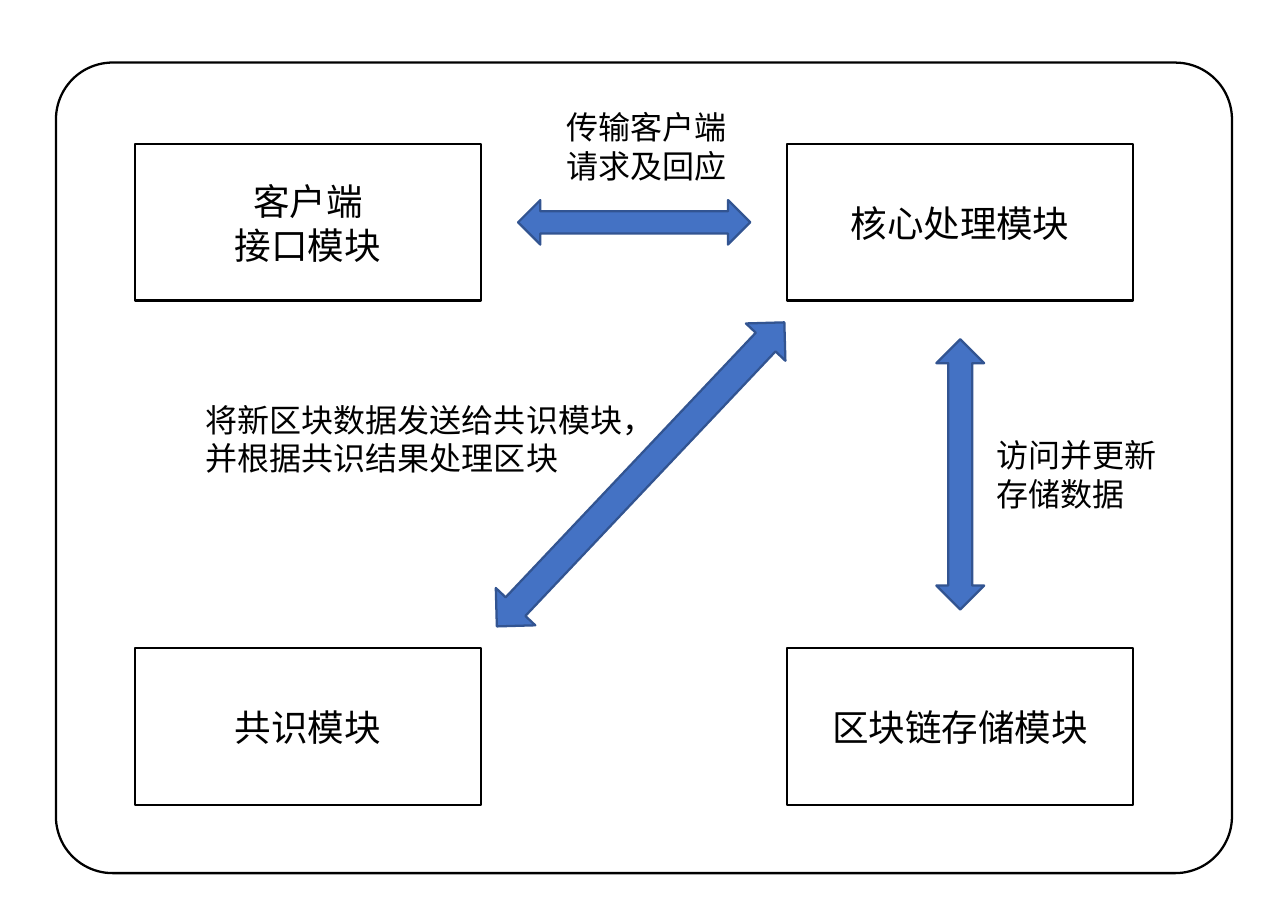
from dataclasses import dataclass

from pptx import Presentation
from pptx import util as u
from pptx.dml.color import RGBColor
from pptx.enum import shapes, text
from pptx.shapes.autoshape import Shape
from pptx.slide import Slide


@dataclass(frozen=True)
class Theme:
    font: str = "Calibri"
    module_size: int = 16
    label_size: int = 14
    line_width: int = 1
    ink: str = "000000"
    paper: str = "FFFFFF"
    arrow_fill: str = "4472C4"
    arrow_line: str = "325491"


@dataclass(frozen=True)
class Grid:
    """Centres of the cells: column 0, row 0 is the top left module."""
    left: float = 1.87
    top: float = 1.35
    column_step: float = 3.96
    row_step: float = 3.06

    def corner(self, column: float, row: float, width: float, height: float) -> tuple[u.Inches, u.Inches]:
        return (u.Inches(self.left + column * self.column_step - width / 2),
                u.Inches(self.top + row * self.row_step - height / 2))


@dataclass(frozen=True)
class Module:
    column: int
    row: int
    lines: tuple[str, ...]


@dataclass(frozen=True)
class Arrow:
    column: float
    row: float
    thickness: float
    length: float
    rotation: float = 0


@dataclass(frozen=True)
class Label:
    column: float
    row: float
    width: float
    lines: tuple[str, ...]


THEME = Theme()
GRID = Grid()
SLIDE_WIDTH, SLIDE_HEIGHT = 7.82, 5.53
MODULE_WIDTH, MODULE_HEIGHT = 2.1, 0.95
LABEL_HEIGHT = 0.57

MODULES = (
    Module(0, 0, ("客户端", "接口模块")),
    Module(1, 0, ("核心处理模块",)),
    Module(0, 1, ("共识模块",)),
    Module(1, 1, ("区块链存储模块",)),
)
ARROWS = (
    Arrow(1, 0.5, 0.29, 1.64),
    Arrow(0.5, 0, 0.27, 1.41, 90),
    Arrow(0.51, 0.5, 0.33, 2.54, 43.4),
)
LABELS = (
    Label(0.52, -0.15, 1.18, ("传输客户端", "请求及回应")),
    Label(0.19, 0.43, 2.95, ("将新区块数据发送给共识模块，", "并根据共识结果处理区块")),
    Label(1.18, 0.5, 1.18, ("访问并更新", "存储数据")),
)


def paint(shape: Shape, fill: str, line: str) -> None:
    shape.shadow.inherit = False
    shape.fill.solid()
    shape.fill.fore_color.rgb = RGBColor.from_string(fill)
    shape.line.color.rgb = RGBColor.from_string(line)
    shape.line.width = u.Pt(THEME.line_width)


def write(shape: Shape, lines: tuple[str, ...], size: int, align: text.PP_ALIGN) -> None:
    frame = shape.text_frame
    for index, line in enumerate(lines):
        para = frame.add_paragraph() if index else frame.paragraphs[0]
        para.alignment = align
        span = para.add_run()
        span.text = line
        span.font.name = THEME.font
        span.font.size = u.Pt(size)
        span.font.color.rgb = RGBColor.from_string(THEME.ink)


def draw_frame(page: Slide) -> None:
    left, top, width, height = 0.34, 0.38, 7.14, 4.92
    box = page.shapes.add_shape(
        shapes.MSO_SHAPE.ROUNDED_RECTANGLE,
        u.Inches(left), u.Inches(top), u.Inches(width), u.Inches(height))
    box.adjustments[0] = 0.07
    paint(box, THEME.paper, THEME.ink)


def draw_module(page: Slide, module: Module) -> None:
    box = page.shapes.add_shape(
        shapes.MSO_SHAPE.RECTANGLE,
        *GRID.corner(module.column, module.row, MODULE_WIDTH, MODULE_HEIGHT),
        u.Inches(MODULE_WIDTH), u.Inches(MODULE_HEIGHT))
    paint(box, THEME.paper, THEME.ink)
    box.text_frame.vertical_anchor = text.MSO_ANCHOR.MIDDLE
    write(box, module.lines, THEME.module_size, text.PP_ALIGN.CENTER)


def draw_arrow(page: Slide, arrow: Arrow) -> None:
    shape = page.shapes.add_shape(
        shapes.MSO_SHAPE.UP_DOWN_ARROW,
        *GRID.corner(arrow.column, arrow.row, arrow.thickness, arrow.length),
        u.Inches(arrow.thickness), u.Inches(arrow.length))
    shape.rotation = arrow.rotation
    paint(shape, THEME.arrow_fill, THEME.arrow_line)


def draw_label(page: Slide, label: Label) -> None:
    box = page.shapes.add_textbox(
        *GRID.corner(label.column, label.row, label.width, LABEL_HEIGHT),
        u.Inches(label.width), u.Inches(LABEL_HEIGHT))
    box.text_frame.word_wrap = False
    box.text_frame.auto_size = text.MSO_AUTO_SIZE.SHAPE_TO_FIT_TEXT
    write(box, label.lines, THEME.label_size, text.PP_ALIGN.LEFT)


def main() -> None:
    deck = Presentation()
    deck.slide_width = u.Inches(SLIDE_WIDTH)
    deck.slide_height = u.Inches(SLIDE_HEIGHT)
    page = deck.slides.add_slide(deck.slide_layouts[6])

    # Outer frame
    draw_frame(page)

    # Modules at the four corners
    for module in MODULES:
        draw_module(page, module)

    # Two-way data flows and their captions
    for arrow in ARROWS:
        draw_arrow(page, arrow)
    for label in LABELS:
        draw_label(page, label)

    deck.save("out.pptx")


if __name__ == "__main__":
    main()
